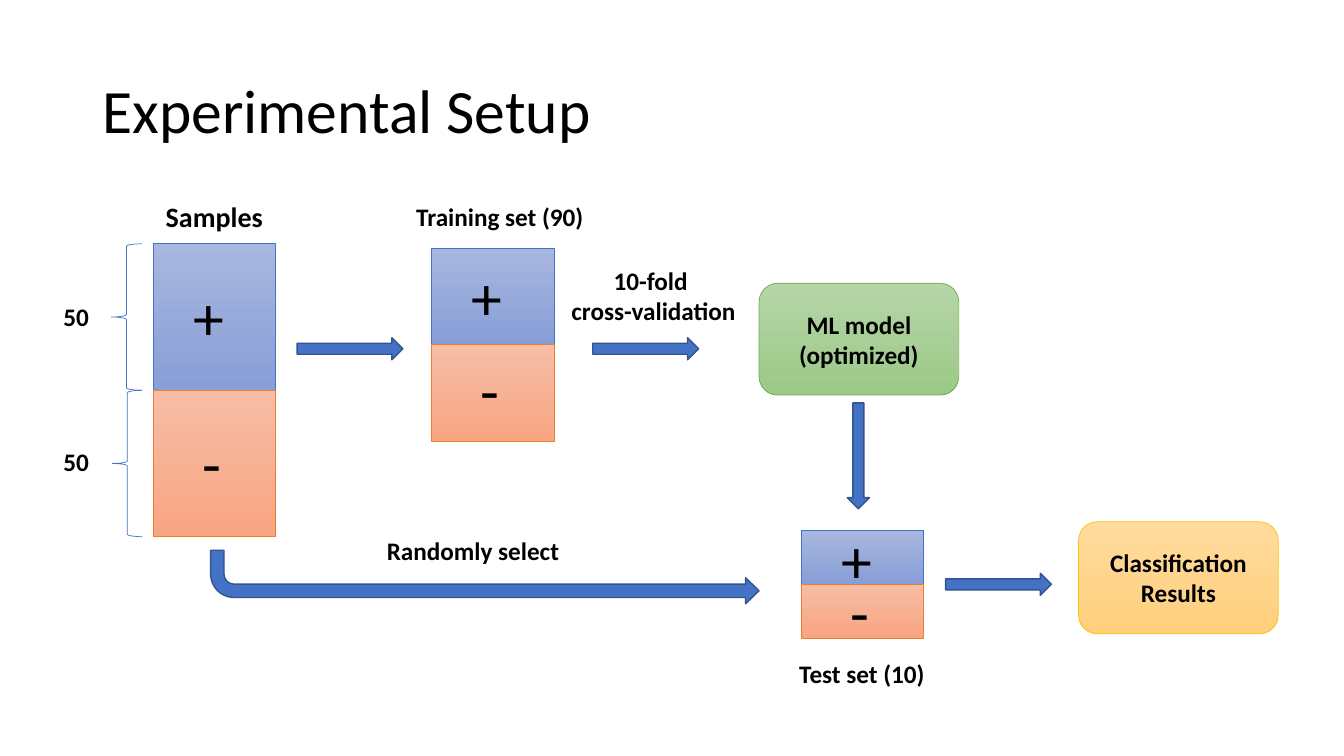
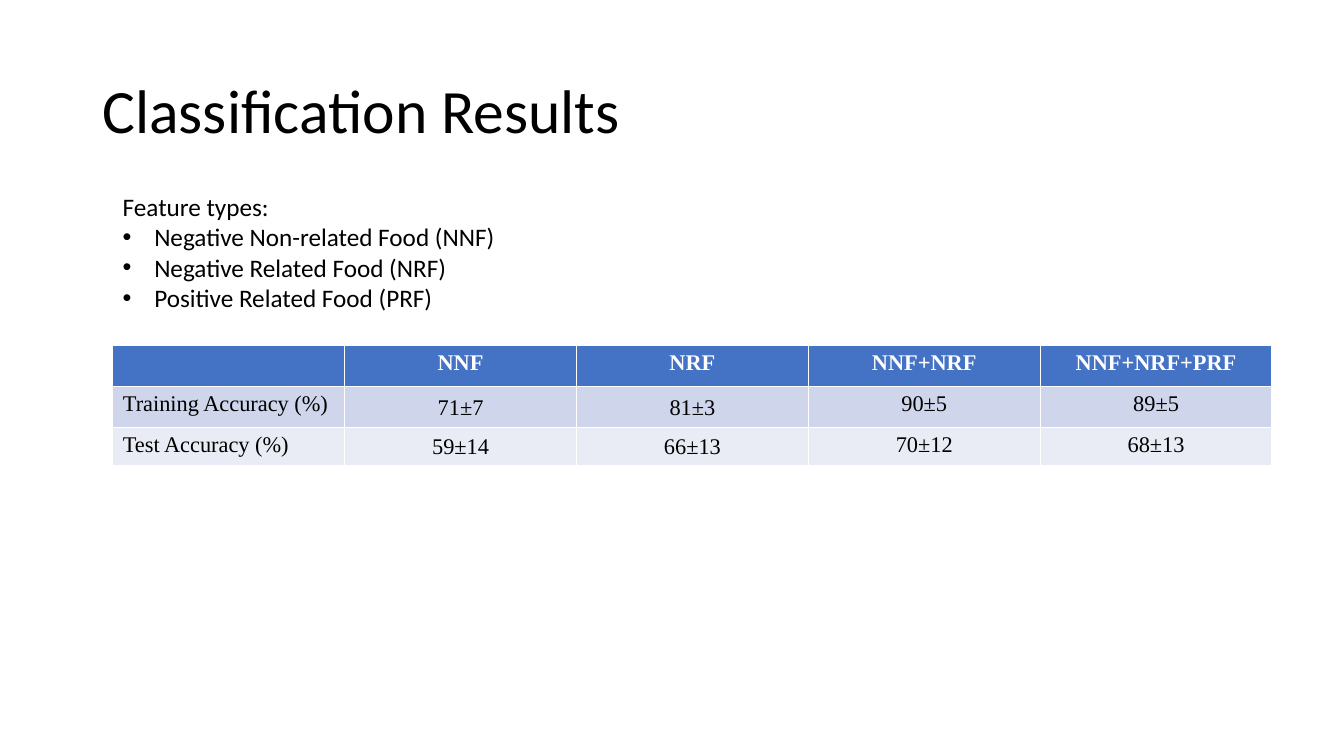
from pptx import Presentation
from pptx.dml.color import RGBColor
from pptx.enum.shapes import MSO_SHAPE as Shape
from pptx.enum.text import MSO_ANCHOR as Anchor, PP_ALIGN as Align
from pptx.oxml.ns import qn
from pptx.util import Pt
from lxml.etree import SubElement

BLACK = RGBColor(0x00, 0x00, 0x00)
WHITE = RGBColor(0xFF, 0xFF, 0xFF)
BLUE = RGBColor(0x44, 0x72, 0xC4)
DARK_BLUE = RGBColor(0x32, 0x54, 0x91)
ORANGE = RGBColor(0xED, 0x7D, 0x31)
GREEN = RGBColor(0x70, 0xAD, 0x47)
GOLD = RGBColor(0xFF, 0xC0, 0x00)
BLUE_FADE = (RGBColor(0xA8, 0xB7, 0xDF), RGBColor(0x88, 0x9E, 0xD7))
ORANGE_FADE = (RGBColor(0xF7, 0xBD, 0xA5), RGBColor(0xF8, 0xA5, 0x82))
GREEN_FADE = (RGBColor(0xB5, 0xD5, 0xA7), RGBColor(0x9C, 0xC9, 0x87))
GOLD_FADE = (RGBColor(0xFF, 0xDB, 0x9E), RGBColor(0xFF, 0xD0, 0x7C))
ROW_FILLS = (BLUE, RGBColor(0xCF, 0xD5, 0xEA), RGBColor(0xE9, 0xEB, 0xF5))
FONT = "Calibri"
TABLE_FONT = "Times New Roman"


def add_shape(slide, kind, box, line, line_width, fade=None, fill=None):
    shape = slide.shapes.add_shape(kind, *map(Pt, box))
    shape.shadow.inherit = False
    shape.line.color.rgb = line
    shape.line.width = Pt(line_width)
    if fade:
        shape.fill.gradient()
        shape.fill.gradient_angle = 270
        for stop, color in zip(shape.fill.gradient_stops, fade):
            stop.color.rgb = color
    elif fill:
        shape.fill.solid()
        shape.fill.fore_color.rgb = fill
    else:
        shape.fill.background()
    return shape


def write(shape, text, size, bold=False, align=Align.LEFT):
    frame = shape.text_frame
    frame.word_wrap = True
    frame.text = text
    for paragraph in frame.paragraphs:
        paragraph.alignment = align
        paragraph.font.name = FONT
        paragraph.font.size = Pt(size)
        paragraph.font.bold = bold
        paragraph.font.color.rgb = BLACK
    return frame


presentation = Presentation()
presentation.slide_width = Pt(960)
presentation.slide_height = Pt(540)

slides = []
for heading in ("Experimental Setup", "Classification Results"):
    slide = presentation.slides.add_slide(presentation.slide_layouts[5])
    title = slide.shapes.title
    title.left, title.top, title.width, title.height = map(Pt, (66, 28.8, 828, 104.4))
    frame = write(title, heading, 44)
    frame.vertical_anchor = Anchor.MIDDLE
    frame.paragraphs[0].line_spacing = 0.9
    slides.append(slide)
setup, results = slides

STACKS = (
    (109.5, 174.2, 104.6, 195.8, 300.2),
    (308.2, 177.1, 69.1, 181.4, 247.7),
    (572.4, 378.9, 38.5, 369.4, 406.1),
)
for left, top, height, plus_top, minus_top in STACKS:
    add_shape(setup, Shape.RECTANGLE, (left, top, 87.5, height), BLUE, 0.5, BLUE_FADE)
    add_shape(setup, Shape.RECTANGLE, (left, top + height, 87.5, height), ORANGE, 0.5, ORANGE_FADE)
    for sign, indent, sign_top in (("+", 21.6, plus_top), ("-", 28, minus_top)):
        sign_box = setup.shapes.add_textbox(Pt(left + indent), Pt(sign_top), Pt(44.6), Pt(60.5))
        write(sign_box, sign, 44)

for left, top in ((79.5, 174.2), (80.2, 278.8)):
    add_shape(setup, Shape.LEFT_BRACE, (left, top, 21.6, 104.6), BLUE, 0.5)

LABELS = (
    ("50", 38.2, 211.9, 41.8, 18, Align.LEFT),
    ("50", 38.2, 314.9, 41.8, 18, Align.LEFT),
    ("Samples", 111.3, 139.1, 87.1, 20, Align.LEFT),
    ("Training set (90)", 290.2, 140.4, 142.6, 18, Align.LEFT),
    ("10-fold \ncross-validation", 395.5, 186, 142.6, 18, Align.CENTER),
    ("Randomly select", 269.2, 378.9, 154, 18, Align.LEFT),
    ("Test set (10)", 563.8, 466.6, 118, 18, Align.LEFT),
)
for text, left, top, width, size, align in LABELS:
    label = setup.shapes.add_textbox(Pt(left), Pt(top), Pt(width), Pt(29))
    write(label, text, size, True, align)

for left, top, rotation in ((212.2, 241.2, 0), (423.4, 241.2, 0), (575.3, 317.7, 90), (675.4, 409.5, 0)):
    arrow = add_shape(setup, Shape.RIGHT_ARROW, (left, top, 75.6, 15.8), DARK_BLUE, 1, fill=BLUE)
    arrow.rotation = rotation

bent_arrow = add_shape(setup, Shape.BENT_ARROW, (150.5, 393.1, 391.7, 38.2), DARK_BLUE, 1, fill=BLUE)
for index, value in enumerate((0.25, 0.243, 0.25, 0.438)):
    bent_arrow.adjustments[index] = value
bent_arrow._element.spPr.find(qn("a:xfrm")).set("flipV", "1")

STAGES = (
    ("ML model\n(optimized)", 542.2, 202.3, GREEN, GREEN_FADE),
    ("Classification Results", 770.4, 372.7, GOLD, GOLD_FADE),
)
for text, left, top, line, fade in STAGES:
    stage = add_shape(setup, Shape.ROUNDED_RECTANGLE, (left, top, 142.6, 79.9), line, 0.5, fade)
    write(stage, text, 18, True, Align.CENTER).vertical_anchor = Anchor.MIDDLE

ROWS = (
    ("", "NNF", "NRF", "NNF+NRF", "NNF+NRF+PRF"),
    ("Training Accuracy (%)", "71±7", "81±3", "90±5", "89±5"),
    ("Test Accuracy (%)", "59±14", "66±13", "70±12", "68±13"),
)
table = results.shapes.add_table(3, 5, Pt(80.6), Pt(247), Pt(828), Pt(85.7)).table
for row, height in zip(table.rows, (29.3, 29.3, 27.1)):
    row.height = Pt(height)
for row_index, texts in enumerate(ROWS):
    is_header = row_index == 0
    for column_index, text in enumerate(texts):
        cell = table.cell(row_index, column_index)
        cell.fill.solid()
        cell.fill.fore_color.rgb = ROW_FILLS[row_index]
        cell.text = text
        paragraph = cell.text_frame.paragraphs[0]
        paragraph.alignment = Align.CENTER if column_index else Align.LEFT
        paragraph.font.name = TABLE_FONT
        paragraph.font.size = Pt(16)
        paragraph.font.bold = is_header
        paragraph.font.color.rgb = WHITE if is_header else BLACK
        if not is_header and column_index in (1, 2):
            cell.vertical_anchor = Anchor.MIDDLE
            cell.margin_left = cell.margin_top = cell.margin_right = Pt(0.75)
            cell.margin_bottom = Pt(0)

FEATURES = (
    "Feature types:",
    "Negative Non-related Food (NNF)",
    "Negative Related Food (NRF)",
    "Positive Related Food (PRF)",
)
feature_box = results.shapes.add_textbox(Pt(80.6), Pt(133.2), Pt(360.7), Pt(138.2))
frame = write(feature_box, "\n".join(FEATURES), 18)
for paragraph in frame.paragraphs[1:]:
    properties = paragraph._p.get_or_add_pPr()
    properties.set("marL", str(Pt(22.5)))
    properties.set("indent", str(-Pt(22.5)))
    SubElement(properties, qn("a:buFont")).set("typeface", "Arial")
    SubElement(properties, qn("a:buChar")).set("char", "•")
    properties.append(properties.find(qn("a:defRPr")))

presentation.save("out.pptx")
